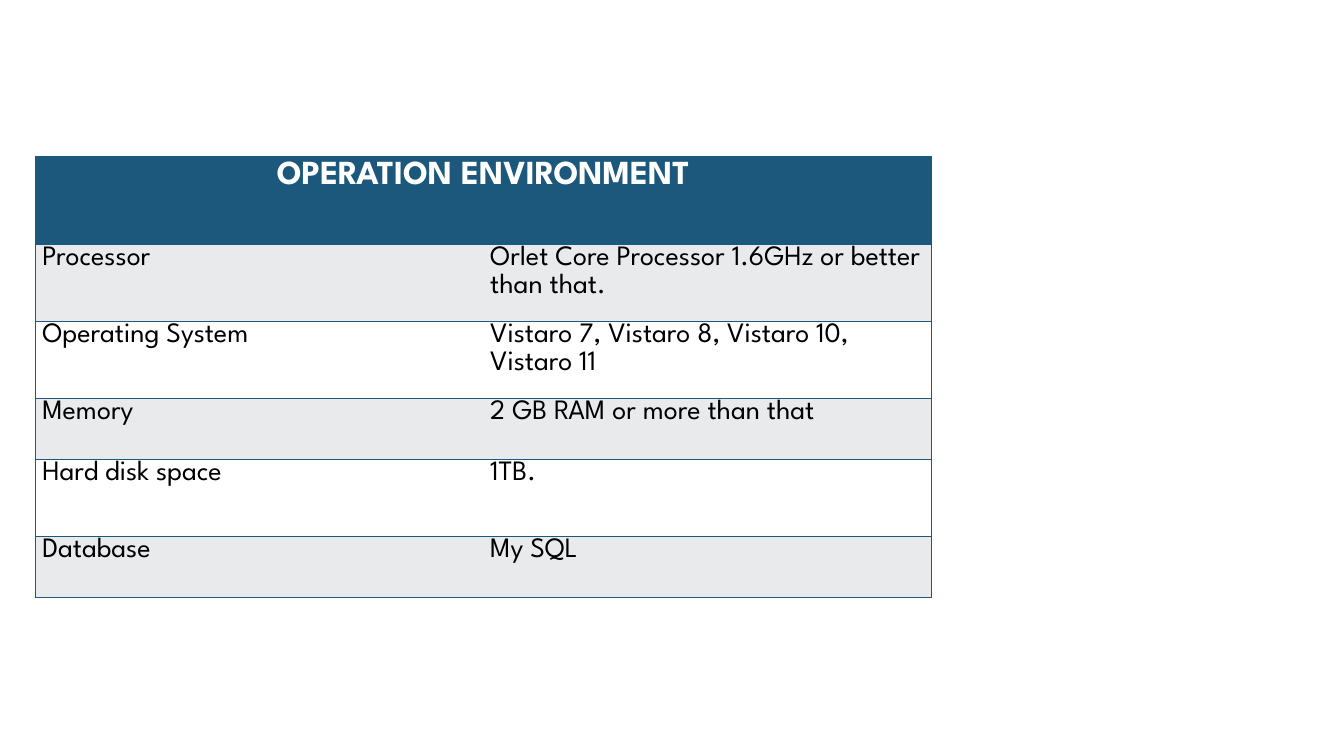
import dataclasses

import lxml.etree
import pptx
import pptx.dml.color
import pptx.enum.text
import pptx.oxml.ns
import pptx.table
import pptx.util

Pt = pptx.util.Pt
FONT = "League Spartan"
BLUE, GRAY, WHITE, BLACK = "1B587C", "E8EAEC", "FFFFFF", "000000"


@dataclasses.dataclass
class Requirement:
    name: str
    value: str
    height: float


HEADER_HEIGHT = 62.85
COLUMN_WIDTH = 320
REQUIREMENTS = [
    Requirement("Processor", "Orlet Core Processor 1.6GHz or better than that.", 55),
    Requirement("Operating System", "Vistaro 7, Vistaro 8, Vistaro 10, Vistaro 11", 55),
    Requirement("Memory", "2 GB RAM or more than that", 43.75),
    Requirement("Hard disk space", "1TB.", 55),
    Requirement("Database", "My SQL", 43.75),
]


def color(value: str) -> pptx.dml.color.RGBColor:
    return pptx.dml.color.RGBColor.from_string(value)


def set_borders(cell: pptx.table._Cell, sides: str) -> None:
    """Draw the named sides (L, R, T, B) and clear the others."""
    properties = cell._tc.get_or_add_tcPr()
    qn = pptx.oxml.ns.qn
    for side in "LRTB":
        line = lxml.etree.SubElement(properties, qn(f"a:ln{side}"), w=str(Pt(1)))
        if side in sides:
            fill = lxml.etree.SubElement(line, qn("a:solidFill"))
            lxml.etree.SubElement(fill, qn("a:srgbClr"), val=BLUE)
        else:
            lxml.etree.SubElement(line, qn("a:noFill"))


def style_cell(cell: pptx.table._Cell, sides: str, fill: str) -> None:
    set_borders(cell, sides)
    cell.fill.solid()
    cell.fill.fore_color.rgb = color(fill)


def write_cell(cell: pptx.table._Cell, text: str, size: float, ink: str, bold: bool) -> None:
    cell.text_frame.text = text
    font = cell.text_frame.paragraphs[0].runs[0].font
    font.name, font.size, font.bold = FONT, Pt(size), bold
    font.color.rgb = color(ink)


def main() -> None:
    deck = pptx.Presentation()
    deck.slide_width, deck.slide_height = Pt(960), Pt(540)
    page = deck.slides.add_slide(deck.slide_layouts[6])

    # Table frame
    height = HEADER_HEIGHT + sum(item.height for item in REQUIREMENTS)
    table = page.shapes.add_table(
        len(REQUIREMENTS) + 1, 2, Pt(25.2), Pt(111.6), Pt(2 * COLUMN_WIDTH), Pt(height)
    ).table
    for column in table.columns:
        column.width = Pt(COLUMN_WIDTH)

    # Header across both columns
    table.rows[0].height = Pt(HEADER_HEIGHT)
    header = table.cell(0, 0)
    header.merge(table.cell(0, 1))
    for column in range(2):
        style_cell(table.cell(0, column), "LRTB", BLUE)
    write_cell(header, "OPERATION ENVIRONMENT", 24, WHITE, True)
    header.text_frame.paragraphs[0].alignment = pptx.enum.text.PP_ALIGN.CENTER

    # Requirement rows with alternating fills
    for row, item in enumerate(REQUIREMENTS, start=1):
        table.rows[row].height = Pt(item.height)
        for column, (text, sides) in enumerate([(item.name, "LTB"), (item.value, "RTB")]):
            cell = table.cell(row, column)
            style_cell(cell, sides, GRAY if row % 2 else WHITE)
            cell.margin_left = cell.margin_right = Pt(5)
            cell.margin_top = cell.margin_bottom = Pt(0)
            write_cell(cell, text, 20, BLACK, False)
            cell.text_frame.paragraphs[0].line_spacing = 1.07

    deck.save("out.pptx")


if __name__ == "__main__":
    main()
